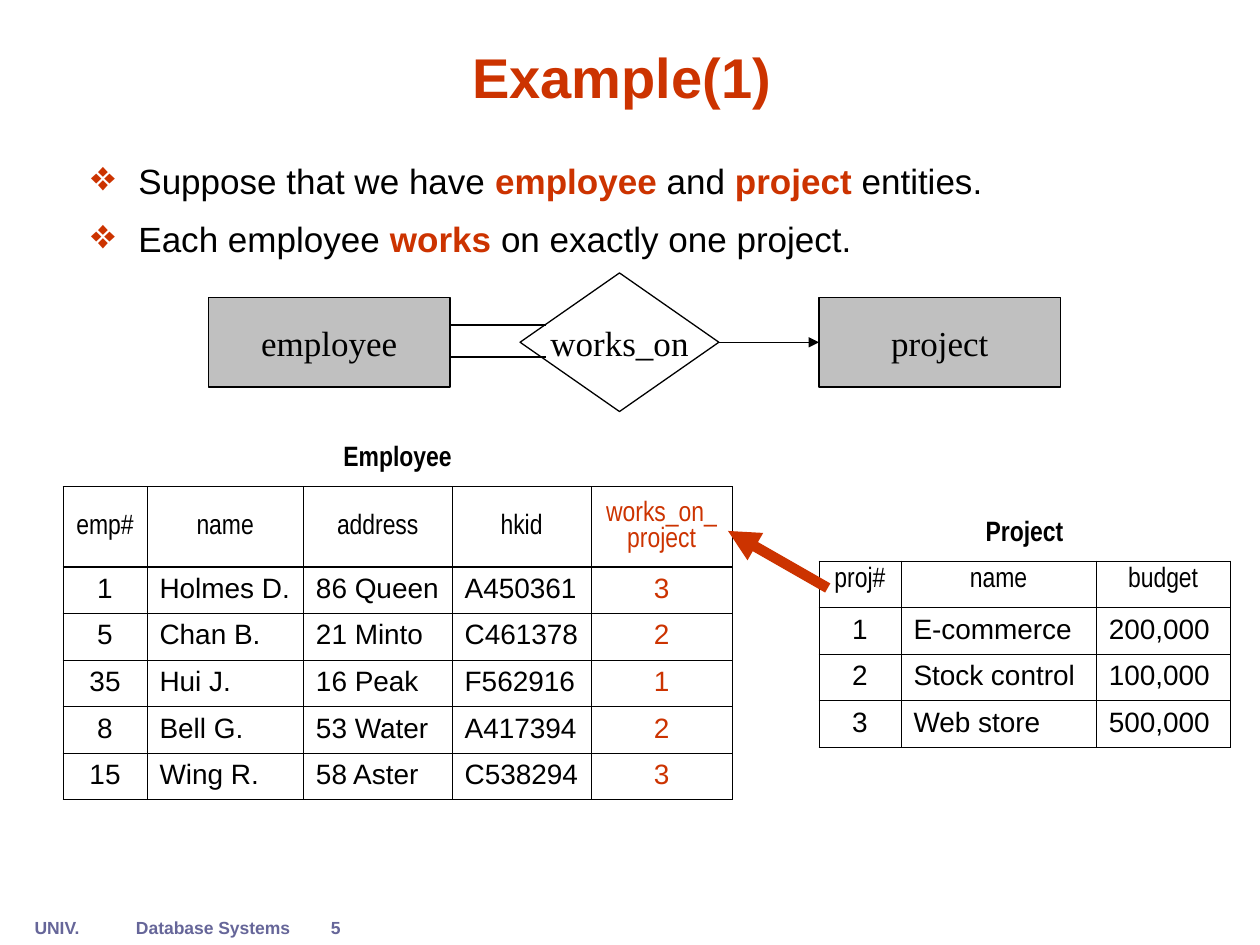
from pptx import Presentation
from pptx.dml.color import RGBColor
from pptx.enum.shapes import MSO_CONNECTOR as Link, MSO_SHAPE as Kind
from pptx.enum.text import MSO_ANCHOR as Anchor, PP_ALIGN as Align
from pptx.oxml import parse_xml
from pptx.oxml.ns import nsdecls
from pptx.util import Pt

BLACK = RGBColor(0x00, 0x00, 0x00)
WHITE = RGBColor(0xFF, 0xFF, 0xFF)
GRAY = RGBColor(0xC0, 0xC0, 0xC0)
RED = RGBColor(0xCC, 0x33, 0x00)
SLATE = RGBColor(0x66, 0x66, 0x99)

SANS, NARROW, SERIF = "Arial", "Arial Narrow", "Times New Roman"
THIN, THICK = 0.45, 1.08


def node(tag, inner="", **attrs):
    """Make a drawing element from its tag, content and attributes."""
    pairs = " ".join(f'{key}="{val}"' for key, val in attrs.items())
    return parse_xml(f"<a:{tag} {nsdecls('a')} {pairs}>{inner}</a:{tag}>")


def write(para, text, size=16, font=SANS, color=BLACK, bold=False,
          align=Align.LEFT):
    """Add a formatted run to a paragraph."""
    para.alignment = align
    run = para.add_run()
    run.text = text
    run.font.size, run.font.name, run.font.bold = Pt(size), font, bold
    run.font.color.rgb = color


def edge(cell, **sides):
    """Set the width of each named cell border; zero hides it."""
    props = cell._tc.get_or_add_tcPr()
    for spot, side in enumerate("LRTB"):
        width = sides[side]
        fill = f'<a:solidFill><a:srgbClr val="{BLACK}"/></a:solidFill>'
        line = node(f"ln{side}", fill if width else "<a:noFill/>",
                    w=int(Pt(width)))
        props.insert(spot, line)


class Page:
    """The current slide and its drawing style."""

    def __init__(self, slide, stroke=0.74):
        """Keep the slide and the usual line width."""
        self.shapes = slide.shapes
        self.stroke = stroke

    def label(self, text, x, y, w, h, wrap=True, anchor=Anchor.TOP, **style):
        """Add a text box with one paragraph."""
        frame = self.shapes.add_textbox(Pt(x), Pt(y), Pt(w), Pt(h)).text_frame
        frame.word_wrap, frame.vertical_anchor = wrap, anchor
        write(frame.paragraphs[0], text, **style)

    def points(self, items, x, y, w, h):
        """Add a bullet list; each item is a list of (text, strong) pairs."""
        frame = self.shapes.add_textbox(Pt(x), Pt(y), Pt(w), Pt(h)).text_frame
        frame.word_wrap = True
        for num, item in enumerate(items):
            para = frame.add_paragraph() if num else frame.paragraphs[0]
            para.space_before = Pt(8.8)
            for text, strong in item:
                write(para, text, size=20, bold=strong,
                      color=RED if strong else BLACK)
            props = para._p.get_or_add_pPr()
            props.set("marL", str(Pt(27)))
            props.set("indent", str(-Pt(27)))
            props.append(node("buClr", f'<a:srgbClr val="{RED}"/>'))
            props.append(node("buSzPct", val=120000))
            props.append(node("buChar", char="❖"))

    def block(self, text, kind, x, y, w, h, fill):
        """Add an outlined shape with centred text."""
        shape = self.shapes.add_shape(kind, Pt(x), Pt(y), Pt(w), Pt(h))
        shape.shadow.inherit = False
        shape.fill.solid()
        shape.fill.fore_color.rgb = fill
        shape.line.color.rgb = BLACK
        shape.line.width = Pt(self.stroke)
        frame = shape.text_frame
        frame.word_wrap, frame.vertical_anchor = False, Anchor.MIDDLE
        write(frame.paragraphs[0], text, size=20, font=SERIF,
              align=Align.CENTER)

    def line(self, x1, y1, x2, y2, color=BLACK, width=None, arrow=False):
        """Add a straight line, with an arrowhead at its end if asked."""
        link = self.shapes.add_connector(
            Link.STRAIGHT, Pt(x1), Pt(y1), Pt(x2), Pt(y2))
        link.line.color.rgb = color
        link.line.width = Pt(width or self.stroke)
        if arrow:
            link.line._get_or_add_ln().append(node("tailEnd", type="triangle"))
        link._element.spPr.append(node("effectLst"))

    def grid(self, title, heads, rows, x, y, widths, tall=26.6,
             anchor=Anchor.TOP, mid=(0,), key=None):
        """Add a titled table; mid lists centred columns, key the red one."""
        data = [[title] + [""] * (len(heads) - 1), heads, *rows]
        highs = [26.6, tall] + [26.6] * len(rows)
        table = self.shapes.add_table(
            len(data), len(heads), Pt(x), Pt(y),
            Pt(sum(widths)), Pt(sum(highs))).table
        table.first_row = table.horz_banding = False
        for col, width in zip(table.columns, widths):
            col.width = Pt(width)
        for r, (row, high) in enumerate(zip(data, highs)):
            table.rows[r].height = Pt(high)
            for c, text in enumerate(row):
                cell = table.cell(r, c)
                cell.fill.background()
                side = THIN if r else 0
                edge(cell, L=side, R=side, T=THICK if r == 2 else side,
                     B=THICK if r == 1 else THIN)
                if r == 1:
                    cell.vertical_anchor = anchor
                if text:
                    head = r < 2
                    write(cell.text_frame.paragraphs[0], text,
                          font=NARROW if head else SANS, bold=r == 0,
                          color=RED if r and c == key else BLACK,
                          align=Align.CENTER if head or c in mid
                          else Align.LEFT)
        table.cell(0, 0).merge(table.cell(0, len(heads) - 1))


def main():
    """Build the slide and save it."""
    deck = Presentation()
    deck.slide_width, deck.slide_height = Pt(720), Pt(540)
    page = Page(deck.slides.add_slide(deck.slide_layouts[6]))

    for text, x, w, align in (("UNIV.", 8.6, 48, Align.CENTER),
                              ("5", 160.6, 62.6, Align.CENTER),
                              ("Database Systems", 70.6, 112, Align.LEFT)):
        page.label(text, x, 520.6, w, 19.4, size=10, color=SLATE,
                   bold=True, align=align)
    page.label("Example(1) ", 42, 18, 635.6, 48, anchor=Anchor.BOTTOM,
               size=32, color=RED, bold=True, align=Align.CENTER)
    page.points([
        [("Suppose that we have ", False), ("employee", True),
         (" and ", False), ("project", True), (" entities.", False)],
        [("Each employee ", False), ("works ", True),
         ("on exactly one project.", False)],
    ], 45, 87.8, 618, 384)

    page.grid("Employee",
              ["emp#", "name", "address", "hkid", "works_on_project"],
              [["1", "Holmes D.", "86 Queen", "A450361", "3"],
               ["5", "Chan B.", "21 Minto", "C461378", "2"],
               ["35", "Hui J.", "16 Peak", "F562916", "1"],
               ["8", "Bell G.", "53 Water", "A417394", "2"],
               ["15", "Wing R.", "58 Aster", "C538294", "3"]],
              36, 251.6, [48, 89.4, 85, 79.4, 80.6], tall=45.8,
              anchor=Anchor.MIDDLE, mid=(0, 4), key=4)
    page.grid("Project", ["proj#", "name", "budget"],
              [["1", "E-commerce", "200,000"],
               ["2", "Stock control", "100,000"],
               ["3", "Web store", "500,000"]],
              468, 294, [46.8, 111.6, 76.5])

    page.block("works_on", Kind.FLOWCHART_DECISION, 297.2, 156, 113.6, 79.2,
               WHITE)
    for text, x in (("employee", 119), ("project", 468)):
        page.block(text, Kind.FLOWCHART_PROCESS, x, 170, 138.2, 51.2, GRAY)
    page.line(410.6, 195.6, 468, 195.6, arrow=True)
    for y in (185.8, 204):
        page.line(257.2, y, 312, y)
    page.line(473, 336, 416, 303.4, color=RED, width=6, arrow=True)

    deck.save("out.pptx")


main()
